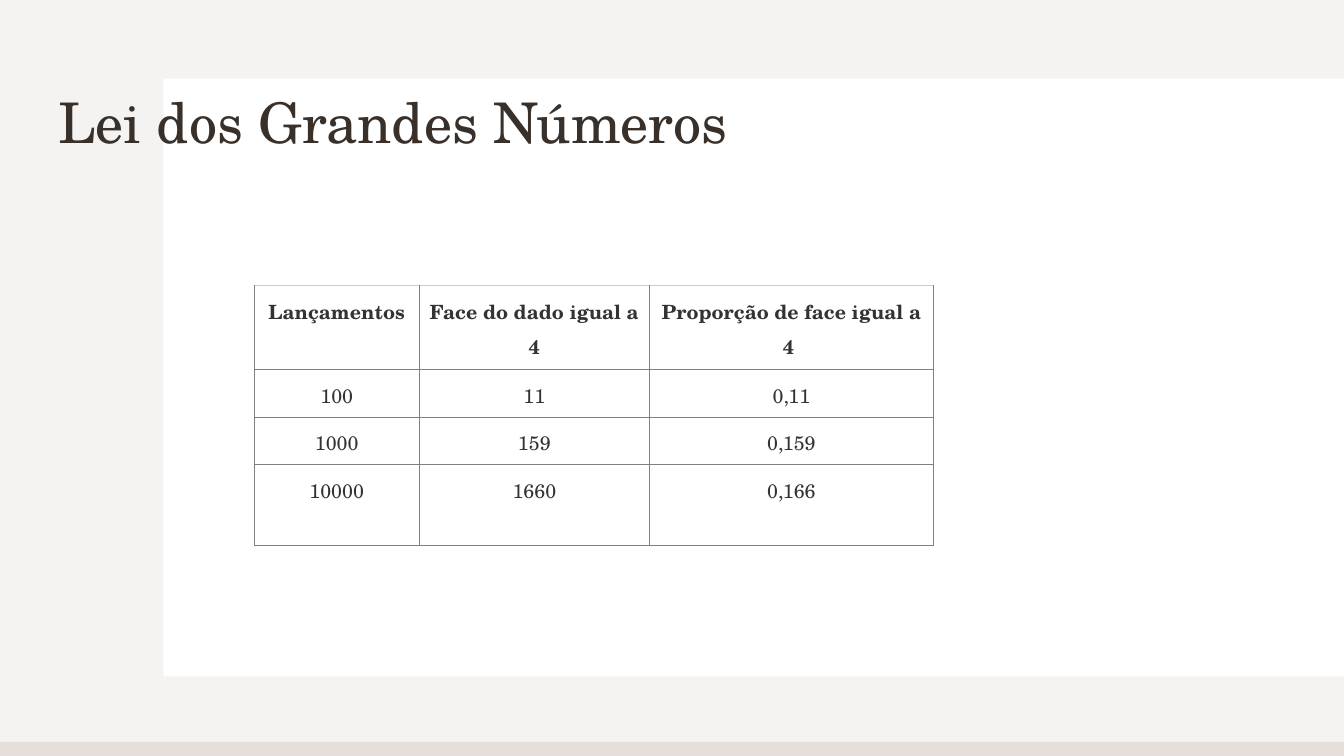
"""Builds the slide on the law of large numbers, with its table of dice throws."""
from dataclasses import dataclass
from typing import Any

from lxml import etree
from pptx import Presentation
from pptx import util as u
from pptx.dml.color import RGBColor
from pptx.enum import shapes, text
from pptx.oxml import ns

FONT = "TeX Gyre Schola"
COLORS = {
    "band": "E5DEDB",
    "panel": "FFFFFF",
    "title": "39302A",
    "body": "333333",
    "border": "808080",
    "border_top": "CCCCCC",
}
COLUMN_WIDTHS = (1.64, 2.28, 2.82)
ROW_HEIGHTS = (0.84, 0.47, 0.47, 0.8)
ROWS = (
    ("Lançamentos", "Face do dado igual a 4", "Proporção de face igual a 4 "),
    ("100", "11", "0,11"),
    ("1000", "159", "0,159"),
    ("10000", "1660", "0,166"),
)


@dataclass(frozen=True)
class Panel:
    """A plain rectangle of the backdrop."""
    left: float
    top: float
    width: float
    height: float
    color: str
    opacity: int = 100


BACKDROP = (
    Panel(0, 0, 13.33, 7.5, "band", 35),
    Panel(1.62, 0.78, 11.71, 5.93, "panel"),
    Panel(0, 7.36, 13.33, 0.14, "band"),
)


def set_all(target: Any, values: dict[str, Any]) -> None:
    """Set each attribute of the target from a dict."""
    for name, value in values.items():
        setattr(target, name, value)


def set_margins(target: Any, margin: float) -> None:
    """Give all four sides the same inner margin."""
    sides = ("left", "right", "top", "bottom")
    set_all(target, {f"margin_{side}": u.Inches(margin) for side in sides})


def paint(fill: Any, color: str) -> None:
    """Fill with one named colour."""
    fill.solid()
    fill.fore_color.rgb = RGBColor.from_string(COLORS[color])


def write(frame: Any, words: str, size: int, color: str, bold: bool,
          alignment: text.PP_ALIGN, spacing: float) -> None:
    """Write one formatted paragraph into a text frame."""
    paragraph = frame.paragraphs[0]
    set_all(paragraph, {"alignment": alignment, "line_spacing": spacing})
    run = paragraph.add_run()
    run.text = words
    set_all(run.font, {"name": FONT, "size": u.Pt(size), "bold": bold})
    run.font.color.rgb = RGBColor.from_string(COLORS[color])


def add_panel(slide: Any, panel: Panel) -> None:
    """Draw one rectangle of the backdrop."""
    lengths = (panel.left, panel.top, panel.width, panel.height)
    shape = slide.shapes.add_shape(shapes.MSO_SHAPE.RECTANGLE, *map(u.Inches, lengths))
    shape.shadow.inherit = False
    shape.line.fill.background()
    paint(shape.fill, panel.color)
    if panel.opacity < 100:
        color = shape.fill._xPr.find(f".//{ns.qn('a:srgbClr')}")
        etree.SubElement(color, ns.qn("a:alpha"), val=str(panel.opacity * 1000))


def add_borders(cell: Any, top_color: str) -> None:
    """Draw the four borders of a table cell."""
    properties = cell._tc.get_or_add_tcPr()
    for side in "LRTB":
        line = etree.SubElement(properties, ns.qn(f"a:ln{side}"), w=str(u.Pt(0.75)))
        fill = etree.SubElement(line, ns.qn("a:solidFill"))
        color = COLORS[top_color if side == "T" else "border"]
        etree.SubElement(fill, ns.qn("a:srgbClr"), val=color)


def place_title(slide: Any, words: str) -> None:
    """Bring the title in front of the backdrop and format it."""
    title = slide.shapes.title
    slide.shapes._spTree.append(title._element)
    set_all(title, {"left": u.Inches(0.45), "top": u.Inches(0.46),
                    "width": u.Inches(12.42), "height": u.Inches(1.21)})
    frame = title.text_frame
    set_all(frame, {"vertical_anchor": text.MSO_ANCHOR.BOTTOM, "word_wrap": True,
                    "auto_size": text.MSO_AUTO_SIZE.NONE})
    set_margins(frame, 0.13)
    write(frame, words, 40, "title", False, text.PP_ALIGN.LEFT, 0.9)


def add_throws_table(slide: Any) -> None:
    """Draw the table of throws and proportions."""
    table = slide.shapes.add_table(
        len(ROWS), len(COLUMN_WIDTHS), u.Inches(2.52), u.Inches(2.83),
        u.Inches(sum(COLUMN_WIDTHS)), u.Inches(sum(ROW_HEIGHTS))).table
    set_all(table, {"first_row": False, "horz_banding": False})
    for column, width in zip(table.columns, COLUMN_WIDTHS):
        column.width = u.Inches(width)
    for index, (row, height, values) in enumerate(zip(table.rows, ROW_HEIGHTS, ROWS)):
        row.height = u.Inches(height)
        is_header = index == 0
        for cell, words in zip(row.cells, values):
            set_margins(cell, 0.07)
            add_borders(cell, "border_top" if is_header else "border")
            paint(cell.fill, "panel")
            write(cell.text_frame, words, 14, "body", is_header,
                  text.PP_ALIGN.CENTER, 1.15)


def main() -> None:
    """Build and save the presentation."""
    presentation = Presentation()
    set_all(presentation, {"slide_width": u.Inches(13.33), "slide_height": u.Inches(7.5)})
    slide = presentation.slides.add_slide(presentation.slide_layouts.get_by_name("Title Only"))
    paint(slide.background.fill, "panel")
    for panel in BACKDROP:
        add_panel(slide, panel)
    place_title(slide, "Lei dos Grandes Números")
    add_throws_table(slide)
    presentation.save("out.pptx")


if __name__ == "__main__":
    main()
